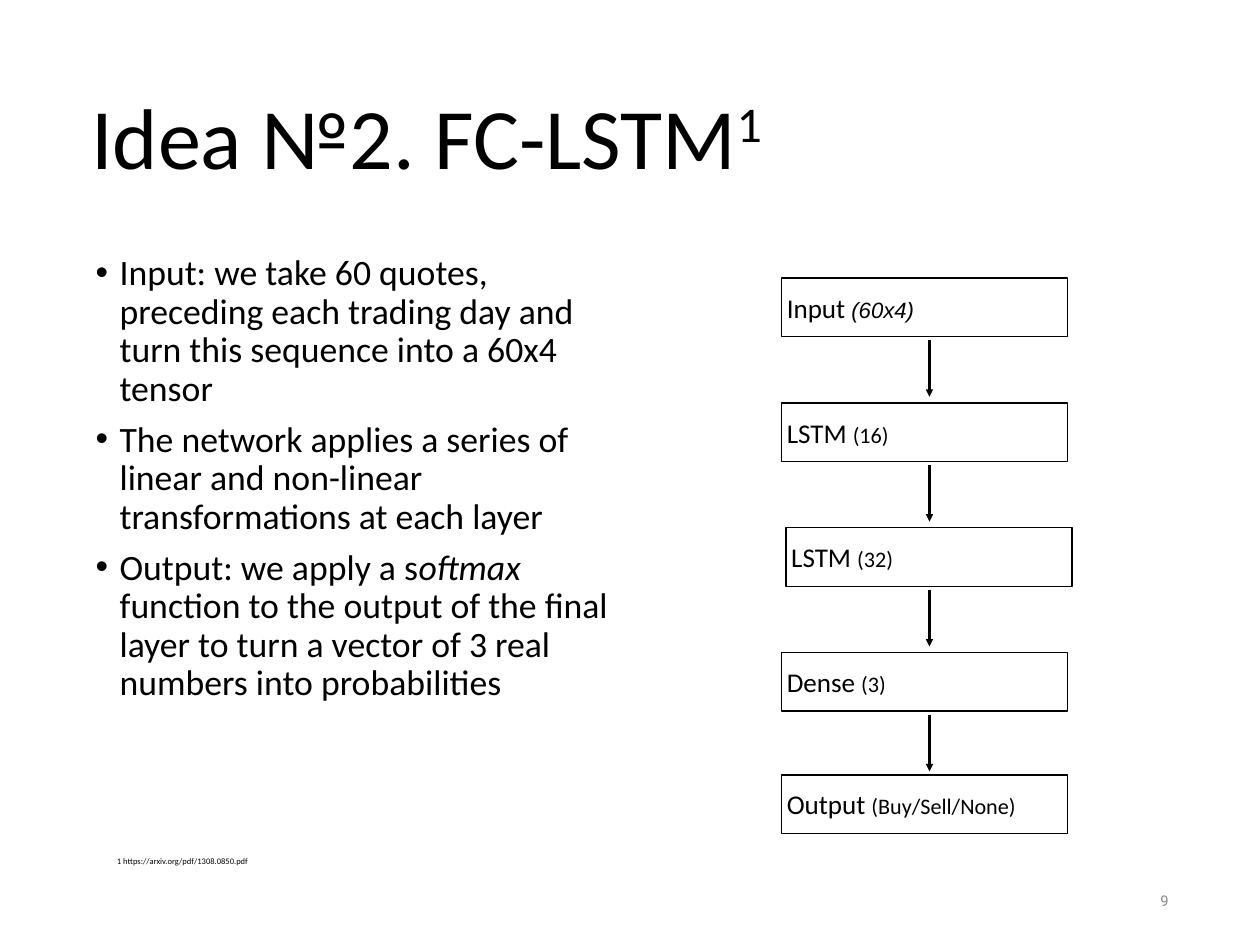
from dataclasses import dataclass

from lxml import etree
from pptx import Presentation
from pptx import util as u
from pptx.dml import color
from pptx.enum import shapes, text
from pptx.oxml import ns

BLACK = "000000"
GREY = "888888"
SUPERSCRIPT = 32000


@dataclass
class Piece:
    """A stretch of text in one format."""
    words: str
    size: float
    font: str = "Calibri"
    italic: bool = False
    baseline: int = 0
    colour: str = BLACK


@dataclass
class Layer:
    """One box of the network diagram."""
    name: Piece
    detail: Piece
    left: float
    top: float


BOX_WIDTH, BOX_HEIGHT = 3.23, 0.66
ARROW_X, ARROW_GAP, ARROW_LENGTH = 10.49, 0.04, 0.64


def layer(name: str, detail: str, top: float, left: float = 8.82,
          font: str = "Calibri", italic: bool = False) -> Layer:
    return Layer(Piece(name + " ", 22), Piece(detail, 18, font, italic), left, top)


LAYERS = [
    layer("Input", "(60x4)", 3.14, font="Arial", italic=True),
    layer("LSTM", "(16)", 4.55),
    layer("LSTM", "(32)", 5.96, left=8.87),
    layer("Dense", "(3)", 7.37),
    layer("Output", "(Buy/Sell/None)", 8.75),
]

BULLETS = [
    [Piece("Input: we take 60 quotes, preceding each trading day and "
           "turn this sequence into a 60x4 tensor", 29)],
    [Piece("The network applies a series of linear and non-linear "
           "transformations at each layer", 29)],
    [Piece("Output: we apply a s", 29), Piece("oftmax", 29, italic=True),
     Piece(" function to the output of the final layer to turn a vector "
           "of 3 real numbers into probabilities", 29)],
]


def rgb(value: str) -> color.RGBColor:
    return color.RGBColor.from_string(value)


def place(shape, left: float, top: float, width: float, height: float) -> None:
    shape.left, shape.top = u.Inches(left), u.Inches(top)
    shape.width, shape.height = u.Inches(width), u.Inches(height)


def set_frame(shape, inset: float, anchor, wrap: bool = True):
    frame = shape.text_frame
    frame.word_wrap = wrap
    frame.auto_size = text.MSO_AUTO_SIZE.NONE
    frame.vertical_anchor = anchor
    frame.margin_left = frame.margin_right = u.Inches(inset)
    frame.margin_top = frame.margin_bottom = u.Inches(inset)
    return frame


def write(paragraph, pieces: list[Piece], align=text.PP_ALIGN.LEFT) -> None:
    paragraph.alignment = align
    for piece in pieces:
        run = paragraph.add_run()
        run.text = piece.words
        run.font.name = piece.font
        run.font.size = u.Pt(piece.size)
        run.font.italic = piece.italic
        run.font.color.rgb = rgb(piece.colour)
        if piece.baseline:
            run._r.get_or_add_rPr().set("baseline", str(piece.baseline))


def set_bullet(paragraph, indent: float) -> None:
    properties = paragraph._p.get_or_add_pPr()
    properties.set("marL", str(u.Inches(indent)))
    properties.set("indent", str(-u.Inches(indent)))
    etree.SubElement(properties, ns.qn("a:buFont")).set("typeface", "Arial")
    etree.SubElement(properties, ns.qn("a:buChar")).set("char", "•")


def add_label(slide, bounds: tuple, inset: float, pieces: list[Piece],
              align=text.PP_ALIGN.LEFT) -> None:
    label = slide.shapes.add_textbox(*map(u.Inches, bounds))
    frame = set_frame(label, inset, text.MSO_ANCHOR.MIDDLE, wrap=False)
    write(frame.paragraphs[0], pieces, align)


def add_layer(slide, item: Layer) -> None:
    box = slide.shapes.add_shape(
        shapes.MSO_SHAPE.RECTANGLE, u.Inches(item.left), u.Inches(item.top),
        u.Inches(BOX_WIDTH), u.Inches(BOX_HEIGHT))
    box.shadow.inherit = False
    box.fill.background()
    box.line.color.rgb = rgb(BLACK)
    box.line.width = u.Pt(1)
    frame = set_frame(box, 0.06, text.MSO_ANCHOR.MIDDLE)
    write(frame.paragraphs[0], [item.name, item.detail])


def add_arrow(slide, top: float) -> None:
    arrow = slide.shapes.add_connector(
        shapes.MSO_CONNECTOR.STRAIGHT, u.Inches(ARROW_X), u.Inches(top),
        u.Inches(ARROW_X), u.Inches(top + ARROW_LENGTH))
    arrow.line.color.rgb = rgb(BLACK)
    arrow.line.width = u.Pt(2)
    tail = etree.SubElement(arrow.line._get_or_add_ln(), ns.qn("a:tailEnd"))
    tail.set("type", "triangle")
    etree.SubElement(arrow._element.spPr, ns.qn("a:effectLst"))


def main() -> None:
    presentation = Presentation()
    presentation.slide_width = u.Inches(14.22)
    presentation.slide_height = u.Inches(10.67)
    slide = presentation.slides.add_slide(presentation.slide_layouts[1])

    # Title
    title = slide.shapes.title
    place(title, 0.98, 0.57, 12.27, 2.06)
    heading = set_frame(title, 0.05, text.MSO_ANCHOR.MIDDLE).paragraphs[0]
    heading.line_spacing = 0.9
    write(heading, [Piece("Idea №2. FC-LSTM", 70),
                    Piece("1", 70, baseline=SUPERSCRIPT)])

    # Bullet list
    body = slide.placeholders[1]
    place(body, 1.03, 2.83, 6.21, 6.88)
    frame = set_frame(body, 0.05, text.MSO_ANCHOR.TOP)
    for index, pieces in enumerate(BULLETS):
        paragraph = frame.add_paragraph() if index else frame.paragraphs[0]
        paragraph.line_spacing = 0.9
        paragraph.space_before = u.Pt(10)
        set_bullet(paragraph, 0.27)
        write(paragraph, pieces)

    # Network diagram
    for item in LAYERS:
        add_layer(slide, item)
    for item in LAYERS[:-1]:
        add_arrow(slide, item.top + BOX_HEIGHT + ARROW_GAP)

    # Footnote and page number
    add_label(slide, (1.26, 9.59, 2.99, 0.31), 0.06,
              [Piece("1 https://arxiv.org/pdf/1308.0850.pdf", 12,
                     baseline=SUPERSCRIPT)])
    add_label(slide, (13.04, 10.02, 0.2, 0.29), 0.05,
              [Piece("9", 12, "Roboto", colour=GREY)], text.PP_ALIGN.RIGHT)

    presentation.save("out.pptx")


if __name__ == "__main__":
    main()
